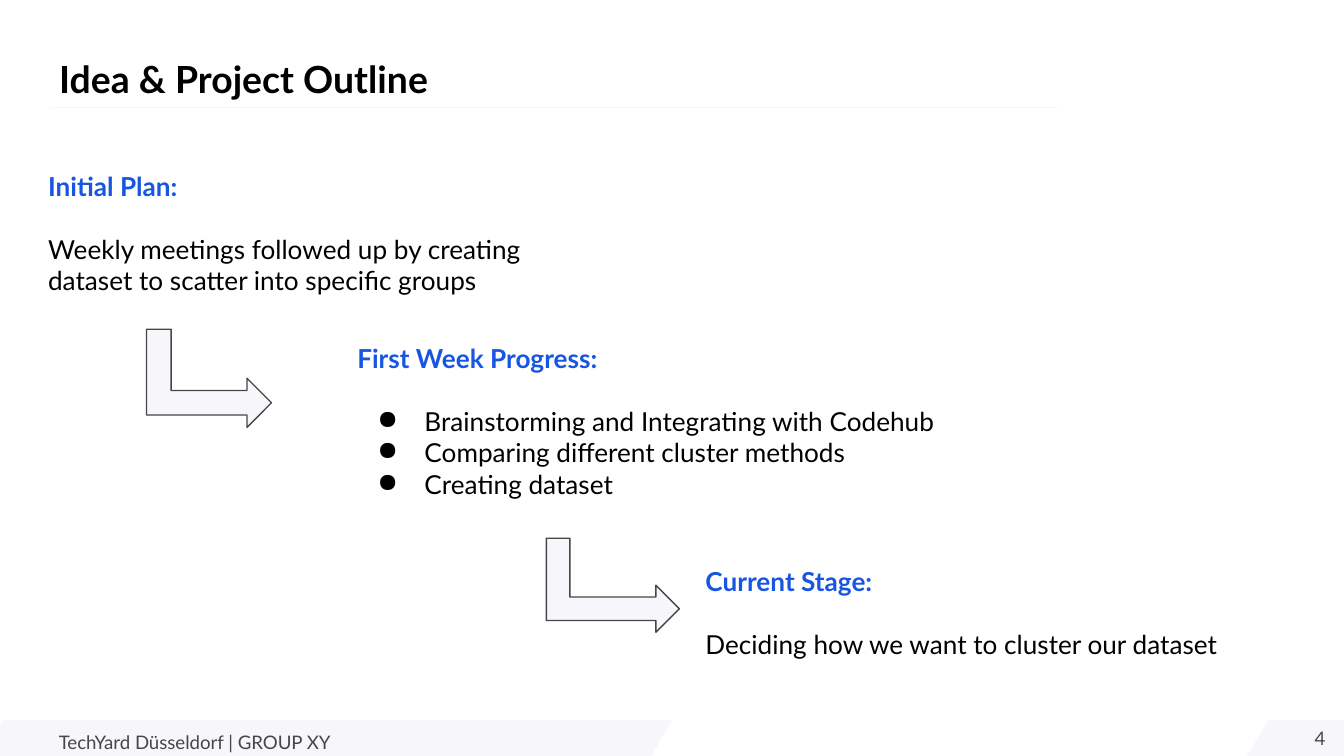
from dataclasses import dataclass

from lxml import etree
from pptx import Presentation
from pptx.dml.color import RGBColor
from pptx.enum.shapes import MSO_CONNECTOR, MSO_SHAPE
from pptx.enum.text import MSO_ANCHOR, MSO_AUTO_SIZE, PP_ALIGN
from pptx.oxml.ns import qn
from pptx.util import Inches, Pt

LEFT, RIGHT = PP_ALIGN.LEFT, PP_ALIGN.RIGHT
TOP, MIDDLE = MSO_ANCHOR.TOP, MSO_ANCHOR.MIDDLE
FIXED, GROW = MSO_AUTO_SIZE.NONE, MSO_AUTO_SIZE.SHAPE_TO_FIT_TEXT
PARALLELOGRAM, BENT_ARROW = MSO_SHAPE.PARALLELOGRAM, MSO_SHAPE.BENT_UP_ARROW
STRAIGHT = MSO_CONNECTOR.STRAIGHT

# Square grid: 100 columns across the slide, rows of the same size
WIDTH = Inches(10)
HEIGHT = WIDTH * 9 // 16
CELL = WIDTH / 100


@dataclass(frozen=True)
class Theme:
    font: str = "Lato"
    ink: str = "000000"
    accent: str = "1756E2"
    grey: str = "464646"
    pale: str = "F7F7FB"
    title_size: float = 20
    body_size: float = 14
    small_size: float = 10
    line_width: float = 0.75
    heading_gap: float = 16.8


@dataclass(frozen=True)
class Area:
    column: float
    row: float
    columns: float
    rows: float

    def lengths(self) -> tuple[int, ...]:
        return tuple(grid(n) for n in (self.column, self.row, self.columns, self.rows))


@dataclass(frozen=True)
class Stage:
    area: Area
    heading: str
    lines: tuple[str, ...]
    bulleted: bool = False


THEME = Theme()
TITLE_STYLE = dict(size=THEME.title_size, colour=THEME.ink, bold=True)
HEADING_STYLE = dict(size=THEME.body_size, colour=THEME.accent, bold=True)
BODY_STYLE = dict(size=THEME.body_size, colour=THEME.ink)
SMALL_STYLE = dict(size=THEME.small_size, colour=THEME.grey)

TITLE_AREA = Area(3.4, 3.2, 93.2, 4)
PAGE_NUMBER_AREA = Area(93.6, 53.1, 6, 3.7)
FOOTER_AREA = Area(-1.7, 53.6, 51.7, 3.2)
CORNER_AREA = Area(92.7, 53.6, 38.5, 2.8)
RULE_START, RULE_END, RULE_ROW = 3.8, 78.8, 8

STAGES = (
    Stage(Area(2.6, 11.7, 43.3, 11.4), "Initial Plan:",
          ("Weekly meetings followed up by creating dataset to scatter into specific groups",)),
    Stage(Area(25.6, 24.5, 47.2, 13.8), "First Week Progress:",
          ("Brainstorming and Integrating with Codehub",
           "Comparing different cluster methods",
           "Creating dataset"), bulleted=True),
    Stage(Area(51.5, 41.1, 47.2, 9.1), "Current Stage:",
          ("Deciding how we want to cluster our dataset",)),
)
ARROWS = (Area(11.9, 23.5, 7.3, 9.3), Area(42.1, 38.6, 7, 9.9))


def grid(cells: float) -> int:
    return round(cells * CELL)


def prepare_frame(shape, anchor=TOP, auto_size=FIXED):
    frame = shape.text_frame
    inset = grid(1)
    values = dict(word_wrap=True, auto_size=auto_size, vertical_anchor=anchor,
                  margin_left=inset, margin_right=inset,
                  margin_top=inset, margin_bottom=inset)
    for name, value in values.items():
        setattr(frame, name, value)
    return frame


def write(para, text: str, size: float, colour: str, bold: bool = False, align=LEFT) -> None:
    para.alignment = align
    span = para.add_run()
    span.text = text
    values = dict(name=THEME.font, size=Pt(size), bold=bold)
    for name, value in values.items():
        setattr(span.font, name, value)
    span.font.color.rgb = RGBColor.from_string(colour)


def add_bullet(para) -> None:
    properties = para._p.get_or_add_pPr()
    properties.set("marL", str(grid(5)))
    properties.set("indent", str(grid(-3.5)))
    colour = etree.SubElement(properties, qn("a:buClr"))
    etree.SubElement(colour, qn("a:srgbClr"), val=THEME.ink)
    etree.SubElement(properties, qn("a:buChar"), char="●")


def add_panel(page, kind, area: Area, adjustments: tuple[float, ...], outline: bool = False):
    panel = page.shapes.add_shape(kind, *area.lengths())
    panel.shadow.inherit = False
    for index, value in enumerate(adjustments):
        panel.adjustments[index] = value
    panel.fill.solid()
    panel.fill.fore_color.rgb = RGBColor.from_string(THEME.pale)
    if outline:
        panel.line.color.rgb = RGBColor.from_string(THEME.grey)
        panel.line.width = Pt(THEME.line_width)
    else:
        panel.line.fill.background()
    return panel


def add_rule(page) -> None:
    row = grid(RULE_ROW)
    rule = page.shapes.add_connector(STRAIGHT, grid(RULE_START), row, grid(RULE_END), row)
    rule.line.color.rgb = RGBColor.from_string(THEME.pale)
    rule.line.width = Pt(THEME.line_width)
    etree.SubElement(rule._element.spPr, qn("a:effectLst"))


def add_stage(page, stage: Stage) -> None:
    box = page.shapes.add_textbox(*stage.area.lengths())
    frame = prepare_frame(box, auto_size=GROW)
    write(frame.paragraphs[0], stage.heading, **HEADING_STYLE)
    for index, line in enumerate(stage.lines):
        para = frame.add_paragraph()
        if stage.bulleted:
            add_bullet(para)
        if index == 0:
            para.space_before = Pt(THEME.heading_gap)
        write(para, line, **BODY_STYLE)


def set_title(page, text: str) -> None:
    title = page.shapes.title
    title.left, title.top, title.width, title.height = TITLE_AREA.lengths()
    write(prepare_frame(title).paragraphs[0], text, **TITLE_STYLE)


def main() -> None:
    deck = Presentation()
    deck.slide_width, deck.slide_height = WIDTH, HEIGHT
    page = deck.slides.add_slide(deck.slide_layouts[5])

    # Footer bands, title rule and page number
    add_panel(page, PARALLELOGRAM, CORNER_AREA, (0.59,))
    footer = add_panel(page, PARALLELOGRAM, FOOTER_AREA, (0.59,))
    write(prepare_frame(footer, MIDDLE).paragraphs[0],
          "TechYard Düsseldorf | GROUP XY", **SMALL_STYLE)
    add_rule(page)
    number = page.shapes.add_textbox(*PAGE_NUMBER_AREA.lengths())
    write(prepare_frame(number).paragraphs[0], "4", align=RIGHT, **SMALL_STYLE)

    # Title and the three stages
    set_title(page, "Idea & Project Outline")
    for stage in STAGES:
        add_stage(page, stage)

    # Arrows from each stage to the next
    for area in ARROWS:
        arrow = add_panel(page, BENT_ARROW, area, (0.25, 0.25, 0.25), outline=True)
        arrow.rotation = 90

    deck.save("out.pptx")


if __name__ == "__main__":
    main()
